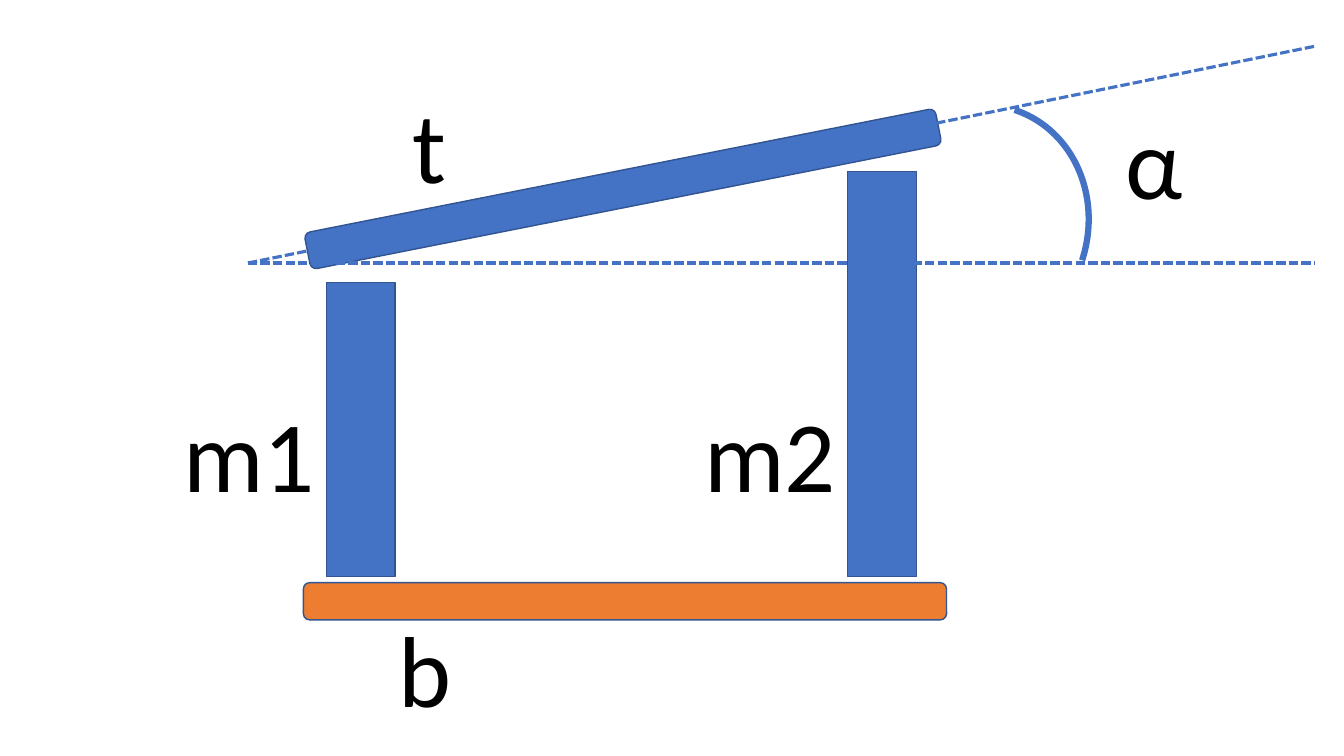
from lxml import etree
from pptx import Presentation
from pptx import util as u
from pptx.dml.color import RGBColor
from pptx.enum import dml, shapes, text
from pptx.oxml import ns

HUES = {"blue": "4472C4", "edge": "325491", "base": "ED7D31", "ink": "000000"}
KIND = shapes.MSO_SHAPE


def hue(name):
    """Return the named colour."""
    return RGBColor.from_string(HUES[name])


def style(item, values):
    """Set each attribute of item from a dict."""
    for key, value in values.items():
        setattr(item, key, value)


def part(slide, kind, box, fill=None, line="edge", width=1, turn=0):
    """Add one flat shape in the box."""
    shape = slide.shapes.add_shape(kind, *map(u.Pt, box))
    shape.shadow.inherit = False
    shape.rotation = turn
    if fill:
        shape.fill.solid()
        shape.fill.fore_color.rgb = hue(fill)
    else:
        shape.fill.background()
    shape.line.color.rgb = hue(line)
    shape.line.width = u.Pt(width)


def label(slide, words, left, top, width):
    """Add a large one-line label."""
    box = slide.shapes.add_textbox(*map(u.Pt, (left, top, width, 94.3)))
    frame = box.text_frame
    style(frame, {"word_wrap": False,
                  "auto_size": text.MSO_AUTO_SIZE.SHAPE_TO_FIT_TEXT})
    run = frame.paragraphs[0].add_run()
    run.text = words
    style(run.font, {"name": "Calibri", "size": u.Pt(72)})
    run.font.color.rgb = hue("ink")


def ray(slide, start, end):
    """Add a dashed line between two points."""
    line = slide.shapes.add_connector(
        shapes.MSO_CONNECTOR.STRAIGHT, *map(u.Pt, start + end))
    style(line.line, {"width": u.Pt(2.25),
                      "dash_style": dml.MSO_LINE.SQUARE_DOT})
    line.line.color.rgb = hue("blue")
    etree.SubElement(line._element.spPr, ns.qn("a:effectLst"))


def roof(slide, x, y, w, h):
    """Draw the tilted top bar and its label."""
    part(slide, KIND.ROUNDED_RECTANGLE, (x, y, w, h), "blue", turn=348.8)
    label(slide, "t", x + 72, y - 66.3, 38.9)


def post(slide, name, x, y, w, h):
    """Draw an upright with its label on the left."""
    part(slide, KIND.RECTANGLE, (x, y, w, h), "blue")
    label(slide, name, x - 109.4, y + h - 135.3, 109.4)


def angle(slide, x, y, w, h):
    """Draw two rays from the lower left corner, with arc and label."""
    for end in (y, y + h):
        ray(slide, (x, y + h), (x + w, end))
    part(slide, KIND.ARC, (x + 441.4, y + 41.1, 158.4, 174.2),
         line="blue", width=4.5, turn=18.1)
    label(slide, "α", x + 619.9, y + 33.9, 56.2)


def base(slide, x, y, w, h):
    """Draw the bottom bar and its label."""
    part(slide, KIND.ROUNDED_RECTANGLE, (x, y, w, h), "base")
    label(slide, "b", x + 61.2, y + 13.7, 52.6)


def main():
    """Build the slide and save it."""
    deck = Presentation()
    style(deck, {"slide_width": u.Pt(960), "slide_height": u.Pt(540)})
    slide = deck.slides.add_slide(deck.slide_layouts[6])
    roof(slide, 215.3, 121.7, 459.4, 26.6)
    floor = 411.8
    for name, x, tall in (("m1", 233.3, 210.2), ("m2", 605.5, 289.4)):
        post(slide, name, x, floor - tall, 49, tall)
    angle(slide, 177.1, 33.1, 761.8, 154.8)
    base(slide, 216.7, 416.2, 459.4, 26.6)
    deck.save("out.pptx")


if __name__ == "__main__":
    main()
